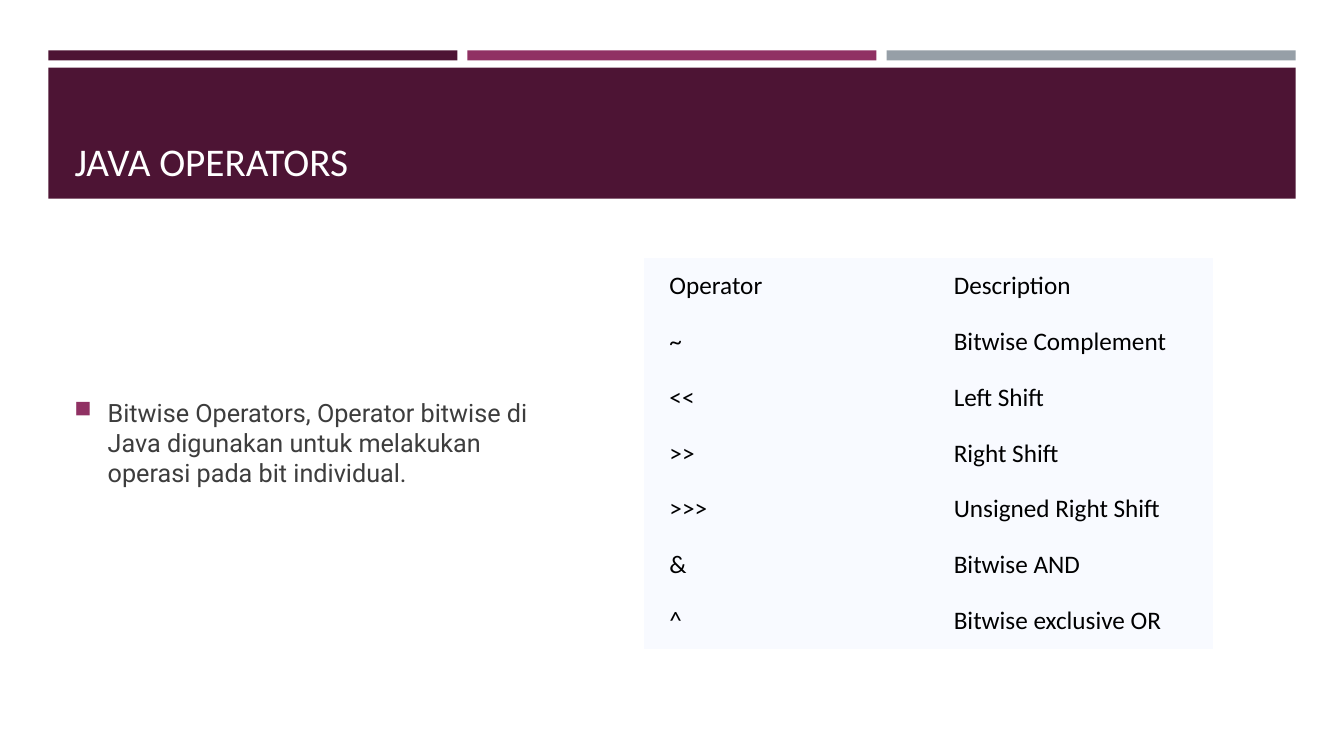
from lxml import etree
from pptx import Presentation
from pptx import util as u
from pptx.dml.color import RGBColor
from pptx.enum import shapes, text
from pptx.oxml import ns

PLUM = RGBColor(0x4D, 0x14, 0x34)
MAGENTA = RGBColor(0x90, 0x31, 0x63)
GRAY = RGBColor(0x96, 0x9F, 0xA7)
WHITE = RGBColor(0xFF, 0xFF, 0xFF)
BLACK = RGBColor(0x00, 0x00, 0x00)
DARK_GRAY = RGBColor(0x3D, 0x3D, 0x3D)
PALE_BLUE = RGBColor(0xF8, 0xFA, 0xFF)

PLAIN_TABLE_STYLE = "{2D5ABB26-0587-4C30-8999-92F81FD0307C}"
OPERATORS = [
    ("Operator", "Description"),
    ("~", "Bitwise Complement"),
    ("<<", "Left Shift"),
    (">>", "Right Shift"),
    (">>>", "Unsigned Right Shift"),
    ("&", "Bitwise AND"),
    ("^", "Bitwise exclusive OR"),
]


def add_run(paragraph, words, size, font, color):
    run = paragraph.add_run()
    run.text = words
    run.font.size = u.Pt(size)
    run.font.name = font
    run.font.color.rgb = color


def add_bar(slide, left, top, width, height, color):
    bar = slide.shapes.add_shape(
        shapes.MSO_SHAPE.RECTANGLE,
        u.Inches(left), u.Inches(top), u.Inches(width), u.Inches(height))
    bar.shadow.inherit = False
    bar.fill.solid()
    bar.fill.fore_color.rgb = color
    bar.line.fill.background()


def add_header(slide, left, top, width, height):
    gap = 0.1
    strip_width = (width - 2 * gap) / 3
    for index, color in enumerate((PLUM, MAGENTA, GRAY)):
        add_bar(slide, left + index * (strip_width + gap), top, strip_width, 0.1, color)
    add_bar(slide, left, top + 0.17, width, height - 0.17, PLUM)

    title = slide.shapes.title
    slide.shapes._spTree.append(title._element)
    title.left, title.top = u.Inches(left + 0.16), u.Inches(top + 0.27)
    title.width, title.height = u.Inches(width - 0.31), u.Inches(height - 0.36)
    frame = title.text_frame
    frame.auto_size = text.MSO_AUTO_SIZE.NONE
    frame.vertical_anchor = text.MSO_ANCHOR.BOTTOM
    paragraph = frame.paragraphs[0]
    paragraph.alignment = text.PP_ALIGN.LEFT
    add_run(paragraph, "JAVA OPERATORS", 28, "Calibri", WHITE)


def add_square_bullet(paragraph, indent, color):
    properties = paragraph._p.get_or_add_pPr()
    properties.set("marL", str(u.Inches(indent)))
    properties.set("indent", str(-u.Inches(indent)))
    bullet_color = etree.SubElement(properties, ns.qn("a:buClr"))
    etree.SubElement(bullet_color, ns.qn("a:srgbClr"), val=str(color))
    etree.SubElement(properties, ns.qn("a:buSzPct"), val="92000")
    etree.SubElement(properties, ns.qn("a:buChar"), char="■")


def add_explanation(slide, left, top, width, height):
    box = slide.shapes.add_textbox(
        u.Inches(left), u.Inches(top), u.Inches(width), u.Inches(height))
    frame = box.text_frame
    frame.word_wrap = True
    frame.vertical_anchor = text.MSO_ANCHOR.MIDDLE
    paragraph = frame.paragraphs[0]
    paragraph.space_before = u.Pt(3.6)
    paragraph.space_after = u.Pt(6)
    add_square_bullet(paragraph, 0.33, MAGENTA)
    add_run(
        paragraph,
        "Bitwise Operators, Operator bitwise di Java digunakan untuk melakukan "
        "operasi pada bit individual.",
        18, "Roboto", DARK_GRAY)


def add_operator_table(slide, left, top, width, height):
    frame = slide.shapes.add_table(
        len(OPERATORS), 2,
        u.Inches(left), u.Inches(top), u.Inches(width), u.Inches(height))
    table = frame.table
    table.first_row = False
    table.horz_banding = False
    table._tbl.tblPr.find(ns.qn("a:tableStyleId")).text = PLAIN_TABLE_STYLE
    for row, entries in zip(table.rows, OPERATORS):
        for cell, words in zip(row.cells, entries):
            cell.fill.solid()
            cell.fill.fore_color.rgb = PALE_BLUE
            cell.vertical_anchor = text.MSO_ANCHOR.MIDDLE
            cell.margin_left = cell.margin_right = u.Inches(0.25)
            cell.margin_top = cell.margin_bottom = u.Inches(0.12)
            add_run(cell.text_frame.paragraphs[0], words, 18, "Calibri", BLACK)


def main():
    presentation = Presentation()
    presentation.slide_width = u.Inches(13.33)
    presentation.slide_height = u.Inches(7.5)
    slide = presentation.slides.add_slide(presentation.slide_layouts[5])
    add_header(slide, 0.48, 0.5, 12.37, 1.47)
    add_explanation(slide, 0.64, 2.38, 5.07, 4.02)
    add_operator_table(slide, 6.39, 2.56, 5.64, 3.88)
    presentation.save("out.pptx")


if __name__ == "__main__":
    main()
